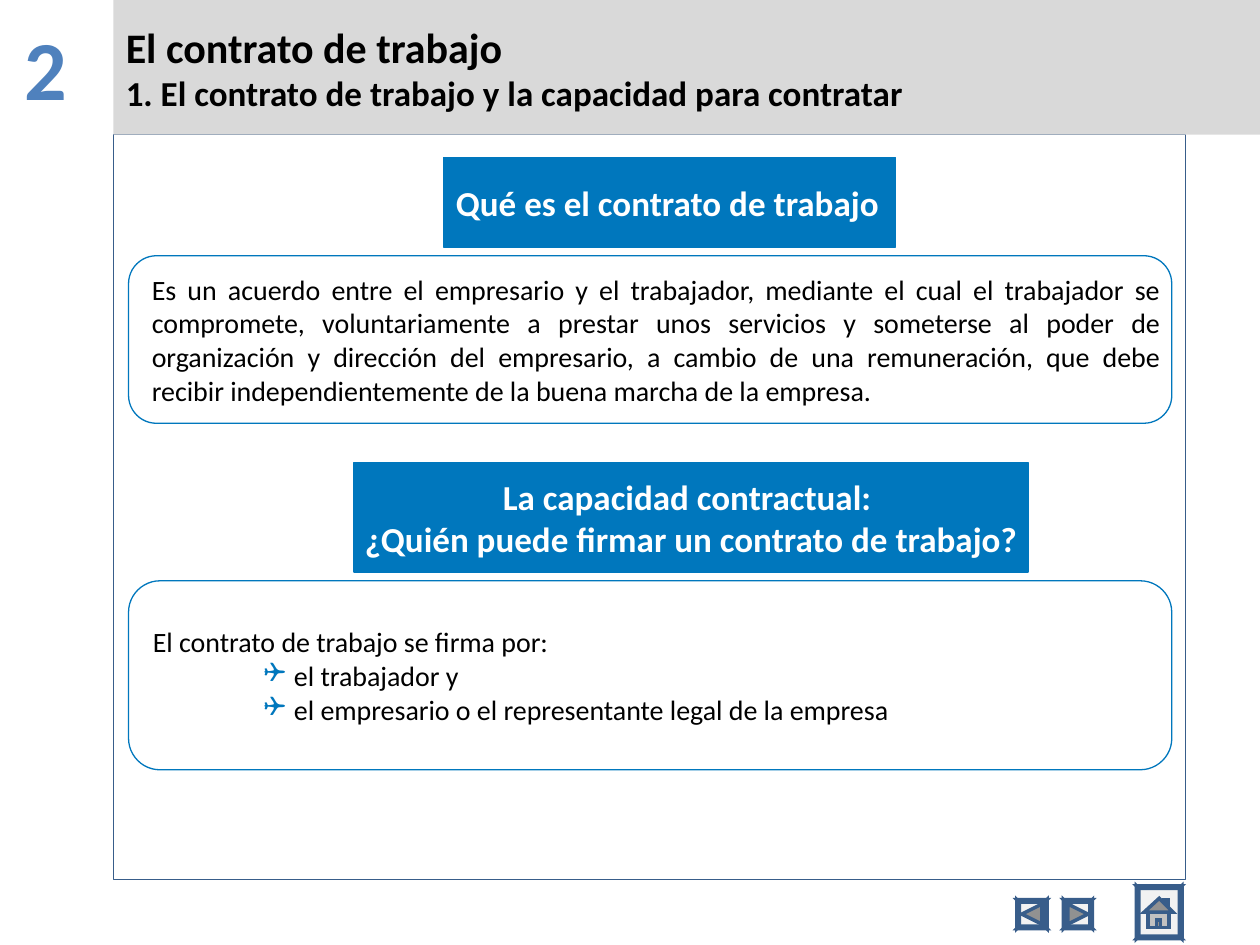
from lxml import etree
from pptx import Presentation
from pptx.dml.color import RGBColor
from pptx.enum.shapes import MSO_SHAPE as Geo
from pptx.enum.text import MSO_ANCHOR as Anchor, PP_ALIGN as Align
from pptx.oxml.ns import qn
from pptx.util import Inches, Pt

BLUE, NAVY, GREY, PALE = "0077BD", "385D8A", "D9D9D9", "F2F2F2"
HEAD = {"size": Pt(20), "bold": True}
BODY = {"size": Pt(16)}


def rgb(code):
    return RGBColor.from_string(code)


def paint(shape, fill=None, line=None, width=0.75):
    shape.shadow.inherit = False
    if fill:
        shape.fill.solid()
        shape.fill.fore_color.rgb = rgb(fill)
    else:
        shape.fill.background()
    if line:
        shape.line.color.rgb = rgb(line)
        shape.line.width = Pt(width)
    else:
        shape.line.fill.background()


def add_box(slide, box, geo=Geo.RECTANGLE, **look):
    shape = slide.shapes.add_shape(geo, *map(Inches, box))
    paint(shape, **look)
    return shape


def set_frame(shape, pad=(0.1, 0.05), wrap=True, anchor=Anchor.MIDDLE):
    frame = shape.text_frame
    x, y = map(Inches, pad)
    values = {"margin_left": x, "margin_right": x, "margin_top": y,
              "margin_bottom": y, "word_wrap": wrap, "vertical_anchor": anchor}
    for name, value in values.items():
        setattr(frame, name, value)
    return frame


def add_run(para, text, color, style):
    run = para.add_run()
    run.text = text
    run.font.color.rgb = rgb(color)
    for name, value in {"name": "Calibri", **style}.items():
        setattr(run.font, name, value)


def add_para(frame, text, color, style, align=Align.LEFT, left=0, hang=0, mark=None):
    first = frame.paragraphs[0]
    para = frame.add_paragraph() if first.runs else first
    para.alignment = align
    props = para._p.get_or_add_pPr()
    props.set("marL", str(Inches(left)))
    props.set("indent", str(Inches(hang)))
    if mark:
        para.level = 1
        tint = etree.SubElement(props, qn("a:buClr"))
        etree.SubElement(tint, qn("a:srgbClr")).set("val", BLUE)
        etree.SubElement(props, qn("a:buFont")).set("typeface", "Wingdings")
        etree.SubElement(props, qn("a:buChar")).set("char", mark)
    add_run(para, text, color, style)


def add_number(slide, box):
    label = slide.shapes.add_textbox(*map(Inches, box))
    frame = set_frame(label, anchor=Anchor.TOP)
    add_para(frame, "2", "4F81BD", {"size": Pt(48), "bold": True}, Align.CENTER)
    add_run(frame.paragraphs[0], " ", "000000", {"size": Pt(54), "bold": True})


def add_title(slide, box):
    frame = set_frame(add_box(slide, box, fill=GREY))
    lines = (("El contrato de trabajo", 24),
             ("1. El contrato de trabajo y la capacidad para contratar", 20))
    for text, size in lines:
        add_para(frame, text, "000000", {"size": Pt(size), "bold": True},
                 left=0.83, hang=-0.83)


def add_banner(slide, box, lines, align):
    frame = set_frame(add_box(slide, box, fill=BLUE, line=BLUE), wrap=False)
    for text in lines:
        add_para(frame, text, "FFFFFF", HEAD, align)


def add_panel(slide, box, intro, align=Align.LEFT, items=()):
    panel = add_box(slide, box, Geo.ROUNDED_RECTANGLE, line=BLUE)
    frame = set_frame(panel, pad=(0.02, 0.01))
    add_para(frame, intro, "000000", BODY, align, left=0.1)
    for item in items:
        add_para(frame, " " + item, "000000", BODY, left=1.17, hang=-0.19, mark="❑")


def corners(x, y, w, h):
    return [(x, y), (x + w, y), (x + w, y + h), (x, y + h)]


def shade_parts(shape, shades):
    """Give each contour of a freeform its own path and fill shade."""
    whole = next(shape._element.iter(qn("a:path")))
    parts = whole.getparent()
    shades = iter(shades)
    for step in list(whole):
        if step.tag == qn("a:moveTo"):
            part = etree.SubElement(parts, qn("a:path"))
            for name in ("w", "h"):
                part.set(name, whole.get(name))
            part.set("fill", next(shades))
        part.append(step)
    parts.remove(whole)


def add_button(slide, box, icon):
    """Bevelled button; icon lists (points, shade), measured from the centre."""
    x, y, w, h = box
    rim = 0.02
    outer = corners(*box)
    inner = corners(x + rim, y + rim, w - 2 * rim, h - 2 * rim)
    parts = [(outer, "norm")]
    for i in range(4):
        j = (i + 1) % 4
        parts.append(([outer[i], outer[j], inner[j], inner[i]], "norm"))
    for points, shade in icon:
        parts.append(([(x + w / 2 + dx, y + h / 2 + dy) for dx, dy in points], shade))
    pen = slide.shapes.build_freeform(Inches(x), Inches(y))
    for n, (points, _) in enumerate(parts):
        spots = [(Inches(px), Inches(py)) for px, py in points]
        if n:
            pen.move_to(*spots[0])
        pen.add_line_segments(spots[1:], close=True)
    button = pen.convert_to_shape()
    paint(button, PALE, NAVY, 2)
    join = etree.SubElement(button.line._get_or_add_ln(), qn("a:miter"))
    join.set("lim", "800000")
    shade_parts(button, [shade for _, shade in parts])


def add_nav(slide, x, y):
    back = [(-0.08, 0), (0.08, -0.08), (0.08, 0.08)]
    forth = [(-dx, dy) for dx, dy in back]
    house = [(corners(-0.09, 0, 0.17, 0.12), "darkenLess"),
             (corners(0.04, -0.1, 0.03, 0.06), "darken"),
             ([(0, -0.11), (0.11, 0), (-0.12, 0)], "darken"),
             (corners(-0.02, 0.06, 0.03, 0.06), "darken")]
    add_button(slide, (x, y + 0.11, 0.24, 0.23), [(back, "darken")])
    add_button(slide, (x + 0.37, y + 0.11, 0.23, 0.23), [(forth, "darken")])
    add_button(slide, (x + 0.95, y, 0.36, 0.42), house)


def main():
    deck = Presentation()
    deck.slide_width, deck.slide_height = Inches(10), Inches(7.5)
    slide = deck.slides.add_slide(deck.slide_layouts[6])
    add_number(slide, (0, 0, 0.9, 1))
    add_box(slide, (0.9, 1.07, 8.51, 5.91), line=NAVY)
    add_title(slide, (0.9, 0, 9.1, 1.07))
    add_nav(slide, 8.07, 7.03)
    add_banner(slide, (3.52, 1.25, 3.59, 0.71),
               ["Qué es el contrato de trabajo"], Align.LEFT)
    add_panel(slide, (1.02, 2.03, 8.28, 1.33),
              "Es un acuerdo entre el empresario y el trabajador, mediante el cual "
              "el trabajador se compromete, voluntariamente a prestar unos servicios "
              "y someterse al poder de organización y dirección del empresario, a "
              "cambio de una remuneración, que debe recibir independientemente de la "
              "buena marcha de la empresa.", Align.JUSTIFY)
    add_banner(slide, (2.81, 3.67, 5.35, 0.87),
               ["La capacidad contractual: ",
                "¿Quién puede firmar un contrato de trabajo?"], Align.CENTER)
    add_panel(slide, (1.02, 4.61, 8.28, 1.5),
              "El contrato de trabajo se firma por:",
              items=["el trabajador y",
                     "el empresario o el representante legal de la empresa"])
    deck.save("out.pptx")


if __name__ == "__main__":
    main()
